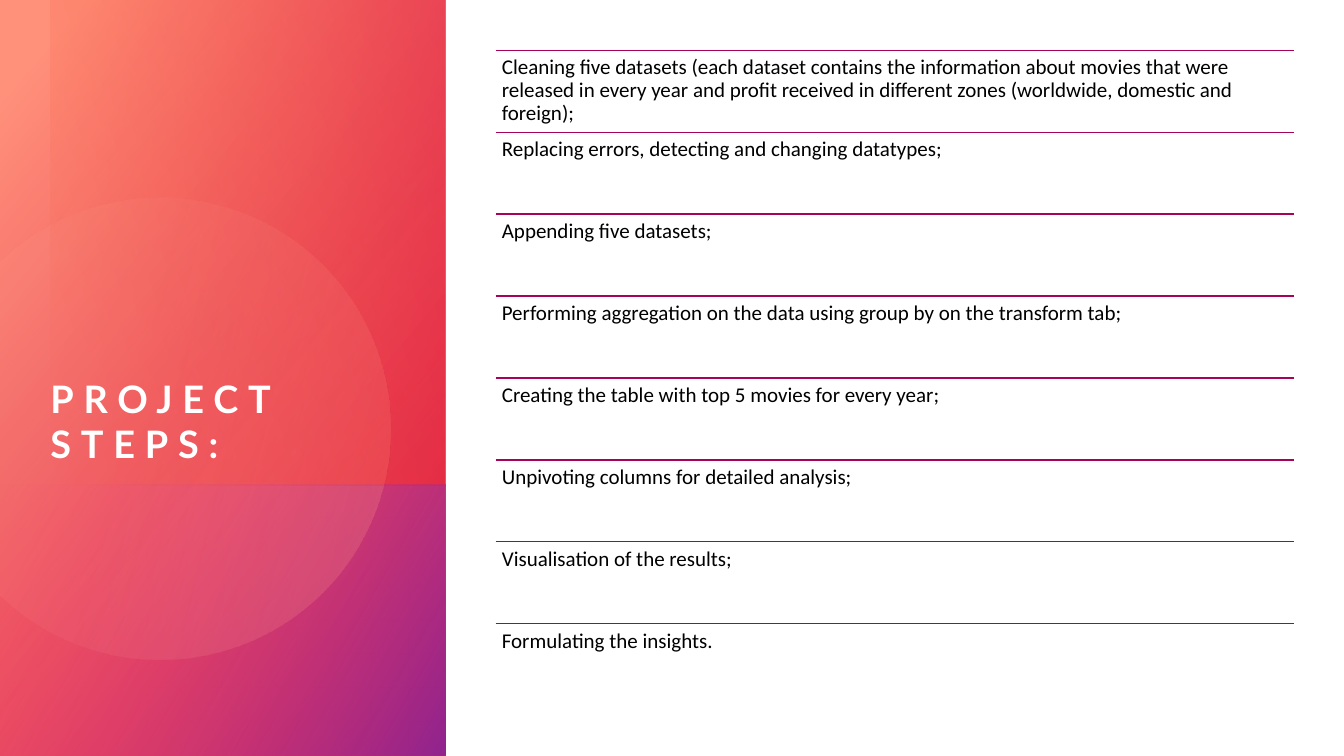
import math
from dataclasses import dataclass

from lxml import etree
from pptx import Presentation
from pptx.dml.color import RGBColor
from pptx.enum.shapes import MSO_CONNECTOR, MSO_SHAPE
from pptx.enum.text import MSO_ANCHOR
from pptx.oxml.ns import qn
from pptx.util import Pt

RECT = MSO_SHAPE.RECTANGLE
STRAIGHT = MSO_CONNECTOR.STRAIGHT
TOP = MSO_ANCHOR.TOP
BOTTOM = MSO_ANCHOR.BOTTOM
EMU_PER_PX = 9525


@dataclass(frozen=True)
class Theme:
    white: str = "FFFFFF"
    text: str = "000000"
    rule: str = "A6025C"
    title_font: str = "Lato"
    body_font: str = "Calibri"
    title_size: int = 27
    title_spacing: int = 7
    body_size: int = 15
    rule_width: int = 1
    base: tuple = ((8, "FF907A", 100), (100, "DA002F", 89))
    violet: tuple = ((0, "FF5076", 0), (99, "92248E", 100))
    disc: tuple = ((36, "FFBCAF", 6), (100, "FF907A", 26))
    glow: tuple = ((0, "DA002F", 29), (100, "FE4A00", 0))


THEME = Theme()
TITLE = "PROJECT STEPS:"
STEPS = [
    "Cleaning five datasets (each dataset contains the information about movies "
    "that were released in every year and profit received in different zones "
    "(worldwide, domestic and foreign);",
    "Replacing errors, detecting and changing datatypes;",
    "Appending five datasets;",
    "Performing aggregation on the data using group by on the transform tab;",
    "Creating the table with top 5 movies for every year;",
    "Unpivoting columns for detailed analysis;",
    "Visualisation of the results;",
    "Formulating the insights.",
]


def px(n):
    return round(n * EMU_PER_PX)


def paint_gradient(sp, stops, angle):
    sp.shadow.inherit = False
    sp.line.fill.background()
    sp.fill.gradient()
    sp.fill.gradient_angle = 360 - angle
    gs_list = sp._element.spPr.find(qn("a:gradFill")).find(qn("a:gsLst"))
    for gs in list(gs_list):
        gs_list.remove(gs)
    for position, color, opacity in stops:
        gs = etree.SubElement(gs_list, qn("a:gs"), pos=str(position * 1000))
        rgb = etree.SubElement(gs, qn("a:srgbClr"), val=color)
        etree.SubElement(rgb, qn("a:alpha"), val=str(opacity * 1000))


def add_gradient_rect(s, x, y, w, h, stops, angle):
    sp = s.shapes.add_shape(RECT, px(x), px(y), px(w), px(h))
    paint_gradient(sp, stops, angle)


def add_clipped_disc(s, x, cx, cy, radius):
    limit = math.acos((x - cx) / radius)
    count = 120
    angles = [-limit + 2 * limit * i / count for i in range(count + 1)]
    points = [(px(cx + radius * math.cos(a)), px(cy + radius * math.sin(a)))
              for a in angles]
    builder = s.shapes.build_freeform(*points[0])
    builder.add_line_segments(points[1:], close=True)
    paint_gradient(builder.convert_to_shape(), THEME.disc, 14)


def add_text(s, x, y, w, h, text, font, size, color, anchor, inset):
    tf = s.shapes.add_textbox(px(x), px(y), px(w), px(h)).text_frame
    tf.word_wrap = True
    tf.vertical_anchor = anchor
    tf.margin_left = tf.margin_right = px(inset)
    tf.margin_top = tf.margin_bottom = px(inset)
    p = tf.paragraphs[0]
    r = p.add_run()
    r.text = text
    r.font.name = font
    r.font.size = Pt(size)
    r.font.color.rgb = RGBColor.from_string(color)
    return p, r


def add_title_panel(s, x, y, w, h):
    margin = 48
    violet_h = 258
    violet_y = y + h - violet_h
    add_gradient_rect(s, x, y, w, h, THEME.base, 40)
    add_gradient_rect(s, x, violet_y, w, violet_h, THEME.violet, 30)
    add_clipped_disc(s, x, x + 152, y + 408, 220)
    add_gradient_rect(s, x + margin, y, w - margin, violet_y - y, THEME.glow, 160)
    p, r = add_text(s, x + margin, y + 91, 356, 353, TITLE, THEME.title_font,
                    THEME.title_size, THEME.white, BOTTOM, 0)
    r.font.bold = True
    r._r.get_or_add_rPr().set("spc", str(THEME.title_spacing * 100))


def add_step_list(s, x, y, w, h):
    row_h = h / len(STEPS)
    for i, step in enumerate(STEPS):
        top = y + i * row_h
        rule = s.shapes.add_connector(STRAIGHT, px(x), px(top), px(x + w), px(top))
        rule.line.color.rgb = RGBColor.from_string(THEME.rule)
        rule.line.width = Pt(THEME.rule_width)
        etree.SubElement(rule._element.spPr, qn("a:effectLst"))
        p, r = add_text(s, x, top, w, row_h, step, THEME.body_font,
                        THEME.body_size, THEME.text, TOP, 6)
        p.line_spacing = 0.9


def main():
    prs = Presentation()
    prs.slide_width = px(1280)
    prs.slide_height = px(720)
    s = prs.slides.add_slide(prs.slide_layouts[6])
    s.background.fill.solid()
    s.background.fill.fore_color.rgb = RGBColor.from_string(THEME.white)
    add_title_panel(s, 0, 0, 424, 720)
    add_step_list(s, 472, 48, 760, 624)
    prs.save("out.pptx")


if __name__ == "__main__":
    main()
